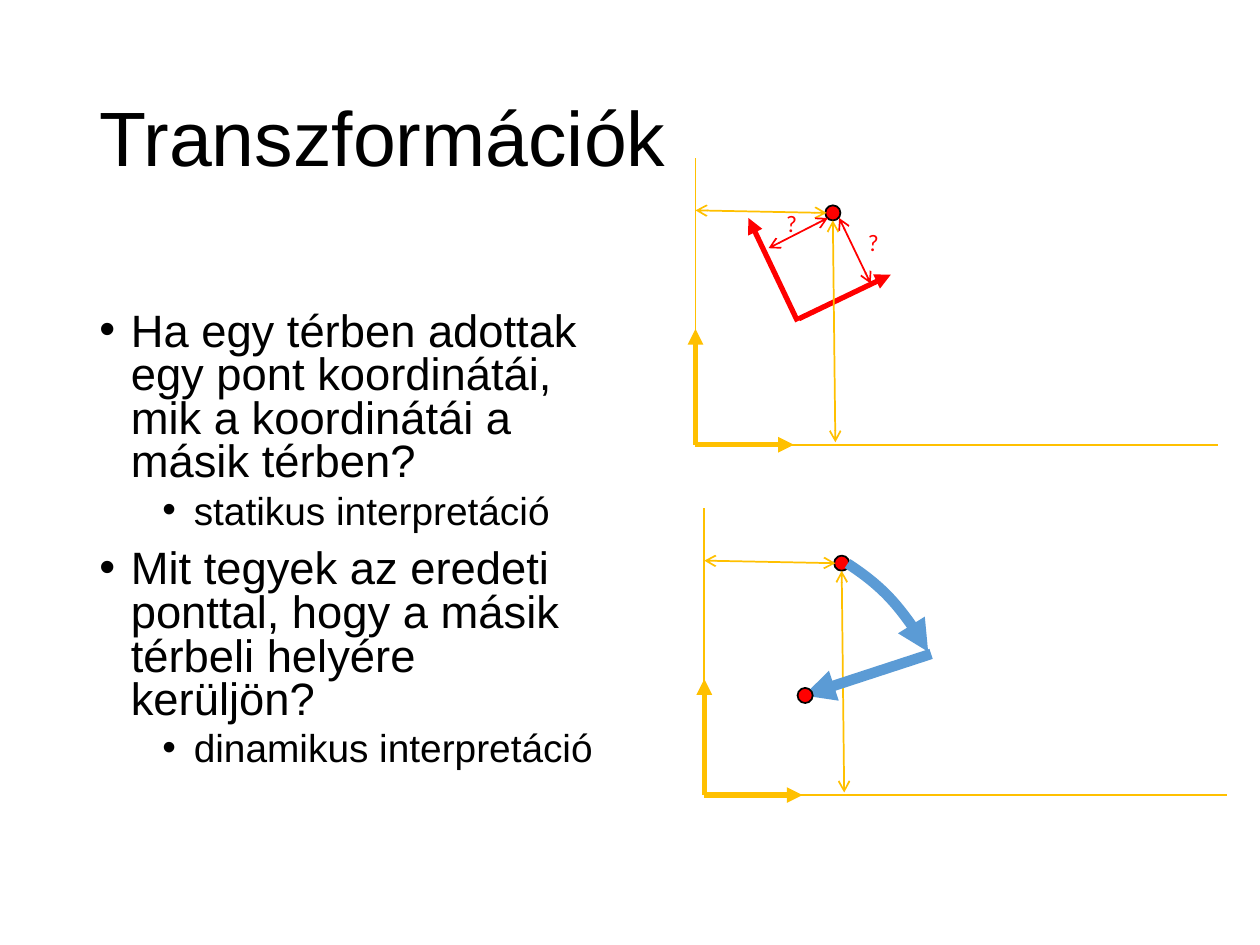
from dataclasses import dataclass

from lxml.etree import SubElement
from pptx import Presentation
from pptx.dml.color import RGBColor as Rgb
from pptx.enum.shapes import MSO_CONNECTOR as Conn, MSO_SHAPE as Geo
from pptx.enum.text import MSO_ANCHOR as Anchor
from pptx.oxml.ns import qn
from pptx.util import Inches, Pt


@dataclass(frozen=True)
class Theme:
    ink: str = "000000"
    gold: str = "FFC000"
    red: str = "FF0000"
    blue: str = "5B9BD5"
    font: str = "Arial"
    mark_font: str = "Calibri"
    title: float = 44
    body: float = 25.9
    sub: float = 22.2
    mark: float = 13.5
    thin: float = 1
    axis: float = 3
    bold: float = 6


T = Theme()

TITLE = "Transzformációk"
POINTS = [
    (0, "Ha egy térben adottak egy pont koordinátái, mik a koordinátái a másik térben?"),
    (1, "statikus interpretáció"),
    (0, "Mit tegyek az eredeti ponttal, hogy a másik térbeli helyére kerüljön?"),
    (1, "dinamikus interpretáció"),
]
# Per level: type size, left indent in inches, space before in points
LEVELS = [(T.body, 0.25, 10), (T.sub, 0.75, 5)]
HANG = 0.25

ORIGINS = [(5.52, 3.53), (5.59, 6.31)]
# Offsets from a frame's origin: start, end, width, arrowheads
FRAME = [
    ((0, 0), (0, -0.92), T.axis, "triangle", False),
    ((0, 0), (0.78, 0), T.axis, "triangle", False),
    ((1.09, -1.78), (1.11, -0.02), T.thin, "arrow", True),
    ((1.04, -1.84), (0, -1.86), T.thin, "arrow", True),
    ((0, 0), (4.15, 0), T.thin, None, False),
    ((0, 0), (0, -2.28), T.thin, None, False),
]
POINT = (1.09, -1.84)
DOT = 0.12

TURNED = [((6.33, 2.55), (5.94, 1.73)), ((6.34, 2.53), (7.07, 2.18))]
GAPS = [((6.57, 1.73), (6.1, 1.97)), ((6.66, 1.73), (6.91, 2.25))]
MARKS = [(6.14, 1.61), (6.79, 1.76)]

ARC = (3.83, 4.17, 3.78, 3.94)
ARC_DEG = (301.15, 329.57)
MOVE = ((7.39, 5.19), (6.38, 5.52))
MOVED = (6.39, 5.52)

deck = Presentation()
deck.slide_width, deck.slide_height = Inches(10), Inches(7.5)
slide = deck.slides.add_slide(deck.slide_layouts[6])
shapes = slide.shapes


def stroke(item, color, width, tip=None, both=False):
    item.line.color.rgb = Rgb.from_string(color)
    item.line.width = Pt(width)
    ends = ("headEnd", "tailEnd") if both else ("tailEnd",)
    for end in ends if tip else ():
        SubElement(item.line._get_or_add_ln(), qn("a:" + end), type=tip)


def line(start, end, color, width, tip=None, both=False):
    item = shapes.add_connector(Conn.STRAIGHT, *map(Inches, (*start, *end)))
    stroke(item, color, width, tip, both)
    SubElement(item._element.spPr, qn("a:effectLst"))


def dot(x, y):
    item = shapes.add_shape(
        Geo.OVAL, *map(Inches, (x - DOT / 2, y - DOT / 2, DOT, DOT)))
    item.shadow.inherit = False
    item.fill.solid()
    item.fill.fore_color.rgb = Rgb.from_string(T.red)
    stroke(item, T.ink, T.thin)


def arc(box, angles, color, width):
    item = shapes.add_shape(Geo.ARC, *map(Inches, box))
    item.shadow.inherit = False
    item.fill.background()
    for i, deg in enumerate(angles):
        item.adjustments[i] = deg * 0.6  # 60000 units a degree, scaled by 100000
    stroke(item, color, width, "triangle")


def frame(x, y):
    """Draw the axes, the point and its two distances."""
    dot(x + POINT[0], y + POINT[1])
    for (ax, ay), (bx, by), width, tip, both in FRAME:
        line((x + ax, y + ay), (x + bx, y + by), T.gold, width, tip, both)


def bullet(para, left):
    props = para._p.get_or_add_pPr()
    props.set("marL", str(Inches(left + HANG - 0.25)))
    props.set("indent", str(-Inches(HANG)))
    SubElement(props, qn("a:buFont"), typeface=T.font)
    SubElement(props, qn("a:buChar"), char="•")


def text(box, rows, size=T.body, font=T.font, color=T.ink, wrap=True,
         anchor=Anchor.TOP, spacing=None, bullets=False):
    """Write rows of (level, words); with bullets, LEVELS sets the format."""
    body = shapes.add_textbox(*map(Inches, box)).text_frame
    body.word_wrap = wrap
    body.vertical_anchor = anchor
    for i, (level, words) in enumerate(rows):
        para = body.add_paragraph() if i else body.paragraphs[0]
        para.line_spacing = spacing
        if bullets:
            size, left, before = LEVELS[level]
            para.level = level
            para.space_before = Pt(before)
            bullet(para, left)
        run = para.add_run()
        run.text = words
        run.font.size, run.font.name = Pt(size), font
        run.font.color.rgb = Rgb.from_string(color)


text((0.69, 0.4, 8.62, 1.45), [(0, TITLE)], size=T.title,
     anchor=Anchor.MIDDLE, spacing=0.9)
text((0.69, 2.43, 4.14, 3.57), POINTS, spacing=0.8, bullets=True)

for start, end in TURNED:
    line(start, end, T.red, T.axis, "triangle")
for origin in ORIGINS:
    frame(*origin)
for start, end in GAPS:
    line(start, end, T.red, T.thin, "arrow", True)
for spot in MARKS:
    text((*spot, 0.29, 0.33), [(0, "?")], size=T.mark, font=T.mark_font,
         color=T.red, wrap=False)

arc(ARC, ARC_DEG, T.blue, T.bold)
line(*MOVE, T.blue, T.bold, "triangle")
dot(*MOVED)

deck.save("out.pptx")
